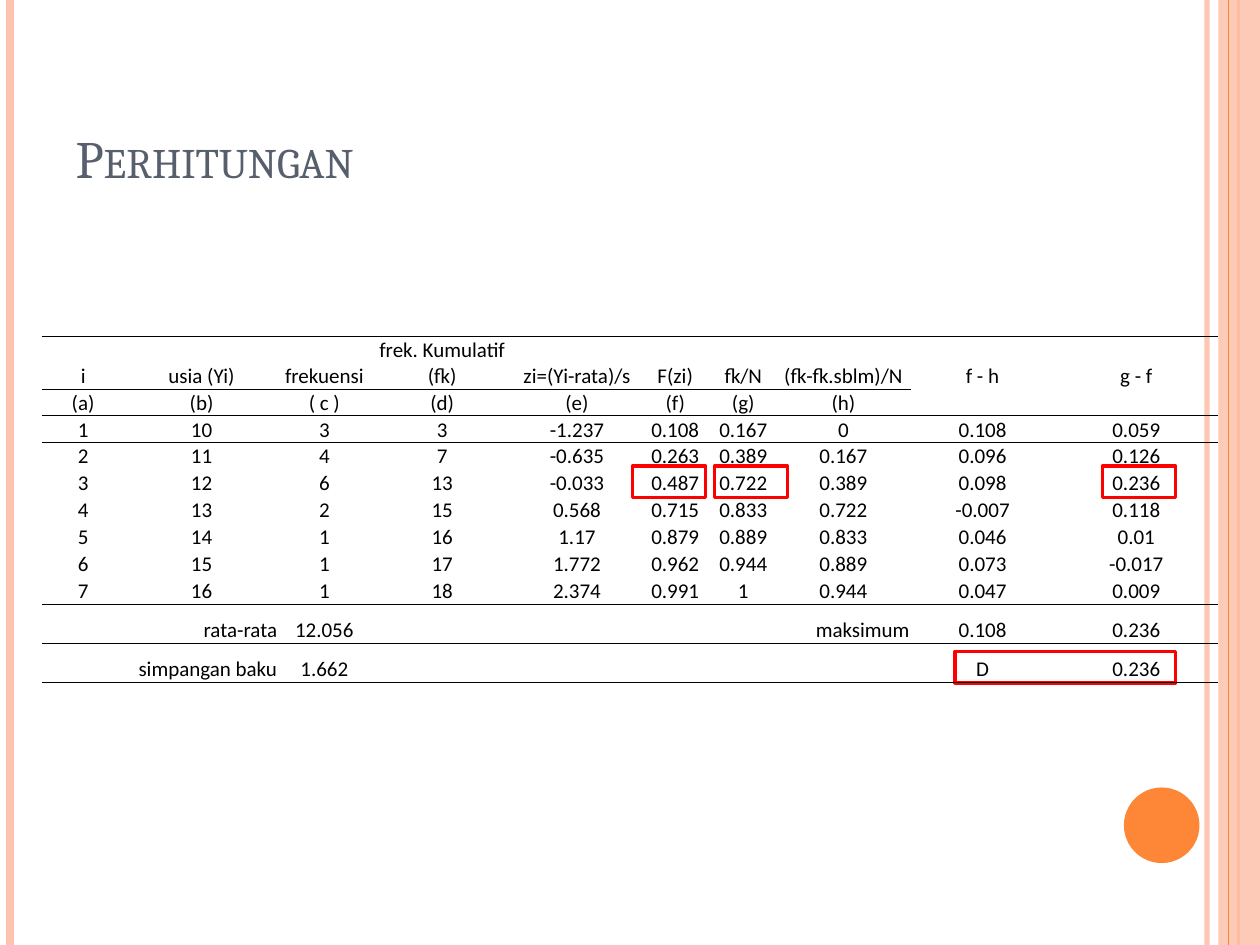
from lxml import etree
from pptx import Presentation
from pptx.dml.color import RGBColor
from pptx.enum.shapes import MSO_CONNECTOR, MSO_SHAPE
from pptx.enum.text import MSO_ANCHOR, PP_ALIGN
from pptx.oxml import parse_xml
from pptx.oxml.ns import nsdecls, qn
from pptx.util import Inches, Pt

STRAIGHT = MSO_CONNECTOR.STRAIGHT
RECTANGLE, OVAL = MSO_SHAPE.RECTANGLE, MSO_SHAPE.OVAL
LEFT, CENTER, RIGHT = PP_ALIGN.LEFT, PP_ALIGN.CENTER, PP_ALIGN.RIGHT
BOTTOM, MIDDLE = MSO_ANCHOR.BOTTOM, MSO_ANCHOR.MIDDLE
NO_STYLE = "{2D5ABB26-0587-4C30-8999-92F81FD0307C}"

PEACH, ORANGE, RED, BLACK, SLATE = "FEC3AE", "FE8637", "FF0000", "000000", "575F6D"
TITLE = "Perhitungan"
HEADERS = ["i", "usia (Yi)", "frekuensi", "frek. Kumulatif (fk)", "zi=(Yi-rata)/s",
           "F(zi)", "fk/N", "(fk-fk.sblm)/N", "f - h", "g - f"]
LETTERS = ["(a)", "(b)", "( c )", "(d)", "(e)", "(f)", "(g)", "(h)", "", ""]
OBSERVATIONS = [
    ["1", "10", "3", "3", "-1.237", "0.108", "0.167", "0", "0.108", "0.059"],
    ["2", "11", "4", "7", "-0.635", "0.263", "0.389", "0.167", "0.096", "0.126"],
    ["3", "12", "6", "13", "-0.033", "0.487", "0.722", "0.389", "0.098", "0.236"],
    ["4", "13", "2", "15", "0.568", "0.715", "0.833", "0.722", "-0.007", "0.118"],
    ["5", "14", "1", "16", "1.17", "0.879", "0.889", "0.833", "0.046", "0.01"],
    ["6", "15", "1", "17", "1.772", "0.962", "0.944", "0.889", "0.073", "-0.017"],
    ["7", "16", "1", "18", "2.374", "0.991", "1", "0.944", "0.047", "0.009"],
]
SUMMARY = [
    ["", "rata-rata", "12.056", "", "", "", "", "maksimum", "0.108", "0.236"],
    ["", "simpangan baku", "1.662", "", "", "", "", "", "D", "0.236"],
]
ROWS = [HEADERS, LETTERS, *OBSERVATIONS, *SUMMARY]
RIGHT_ALIGNED = {"rata-rata", "simpangan baku", "maksimum"}
MERGED_COLUMNS = (8, 9)
COLUMN_WIDTHS = [0.66, 1.22, 0.73, 1.14, 1, 0.56, 0.52, 1.07, 1.14, 1.3]
ROW_HEIGHTS = [0.41] + [0.21] * (1 + len(OBSERVATIONS)) + [0.31] * len(SUMMARY)
RULES_ABOVE = {0, 1, 2, 9}
RULES_BELOW = {0, 1, 8, 10}
STRIPES = [(9.58, PEACH, 3, 93), (0.08, PEACH, 4.5, 100), (9.83, ORANGE, 1.5, 100)]
EDGE_STRIPE = (9.75, ORANGE, 0.75, 100)
HIGHLIGHTS = [(5.02, 3.7, 0.58), (5.67, 3.7, 0.58), (8.75, 3.7, 0.58), (7.58, 5.17, 1.75)]


def color(value):
    """Turn a hex string into a colour."""
    return RGBColor.from_string(value)


def set_opacity(shape, percent):
    """Make the first colour of a shape partly transparent."""
    if percent < 100:
        target = next(shape._element.spPr.iter(qn("a:srgbClr")))
        etree.SubElement(target, qn("a:alpha"), val=str(percent * 1000))


def add_stripe(slide, x, hex_color, width, opacity):
    """Draw a vertical line over the full slide height."""
    stripe = slide.shapes.add_connector(STRAIGHT, Inches(x), 0, Inches(x), Inches(7.5))
    stripe.line.color.rgb = color(hex_color)
    stripe.line.width = Pt(width)
    set_opacity(stripe, opacity)
    etree.SubElement(stripe._element.spPr, qn("a:effectLst"))


def add_filled(slide, kind, box, hex_color, opacity=100):
    """Draw a filled shape without an outline."""
    shape = slide.shapes.add_shape(kind, *map(Inches, box))
    shape.shadow.inherit = False
    shape.fill.solid()
    shape.fill.fore_color.rgb = color(hex_color)
    set_opacity(shape, opacity)
    shape.line.fill.background()


def add_highlight(slide, left, top, width):
    """Draw a red frame around table values."""
    frame = slide.shapes.add_shape(RECTANGLE, *map(Inches, (left, top, width, 0.25)))
    frame.shadow.inherit = False
    frame.fill.background()
    frame.line.color.rgb = color(RED)
    frame.line.width = Pt(2)


def add_rule(cell, tag):
    """Give a cell a thin black border on one side."""
    cell._tc.get_or_add_tcPr().insert(0, parse_xml(
        f'<a:{tag} {nsdecls("a")} w="6350"><a:solidFill><a:srgbClr val="{BLACK}"/>'
        f'</a:solidFill></a:{tag}>'))


def fill_cell(cell, text, row):
    """Write and format one table cell."""
    cell.margin_left = cell.margin_right = cell.margin_top = Inches(0.01)
    cell.margin_bottom = 0
    cell.vertical_anchor = MIDDLE if cell.is_merge_origin else BOTTOM
    cell.fill.background()
    if row in RULES_BELOW and not cell.is_merge_origin:
        add_rule(cell, "lnB")
    if row in RULES_ABOVE and not cell.is_spanned:
        add_rule(cell, "lnT")
    paragraph = cell.text_frame.paragraphs[0]
    if not text:
        etree.SubElement(paragraph._p, qn("a:endParaRPr"), sz="1200")
        return
    paragraph.text = text
    paragraph.alignment = RIGHT if text in RIGHT_ALIGNED else CENTER
    font = paragraph.runs[0].font
    font.name, font.size = "Calibri", Pt(12)
    font.color.rgb = color(BLACK)


def add_calculation_table(slide):
    """Add the table of calculations."""
    box = (0.33, 2.67, sum(COLUMN_WIDTHS), sum(ROW_HEIGHTS))
    table = slide.shapes.add_table(len(ROWS), len(HEADERS), *map(Inches, box)).table
    table.first_row = table.horz_banding = False
    table._tbl.tblPr.find(qn("a:tableStyleId")).text = NO_STYLE
    for column, width in zip(table.columns, COLUMN_WIDTHS):
        column.width = Inches(width)
    for row, height in zip(table.rows, ROW_HEIGHTS):
        row.height = Inches(height)
    for column in MERGED_COLUMNS:
        table.cell(0, column).merge(table.cell(1, column))
    for row, texts in enumerate(ROWS):
        for column, text in enumerate(texts):
            fill_cell(table.cell(row, column), text, row)


def add_title(slide):
    """Format the title placeholder."""
    title = slide.shapes.title
    title.left, title.top, title.width, title.height = map(Inches, (0.5, 0.3, 8.17, 1.25))
    title.text_frame.text = TITLE
    title.text_frame.vertical_anchor = BOTTOM
    paragraph = title.text_frame.paragraphs[0]
    paragraph.alignment = LEFT
    font = paragraph.runs[0].font
    font.name, font.size = "Cambria", Pt(30)
    font.color.rgb = color(SLATE)
    font._element.set("cap", "small")


def main():
    """Build and save the slide."""
    presentation = Presentation()
    presentation.slide_width, presentation.slide_height = Inches(10), Inches(7.5)
    slide = presentation.slides.add_slide(presentation.slide_layouts[5])
    for stripe in STRIPES:
        add_stripe(slide, *stripe)
    add_filled(slide, RECTANGLE, (9.67, 0, 0.33, 7.5), PEACH, 87)
    add_stripe(slide, *EDGE_STRIPE)
    add_filled(slide, OVAL, (8.92, 6.25, 0.6, 0.6), ORANGE)
    add_title(slide)
    for highlight in HIGHLIGHTS:
        add_highlight(slide, *highlight)
    add_calculation_table(slide)
    presentation.save("out.pptx")


if __name__ == "__main__":
    main()
